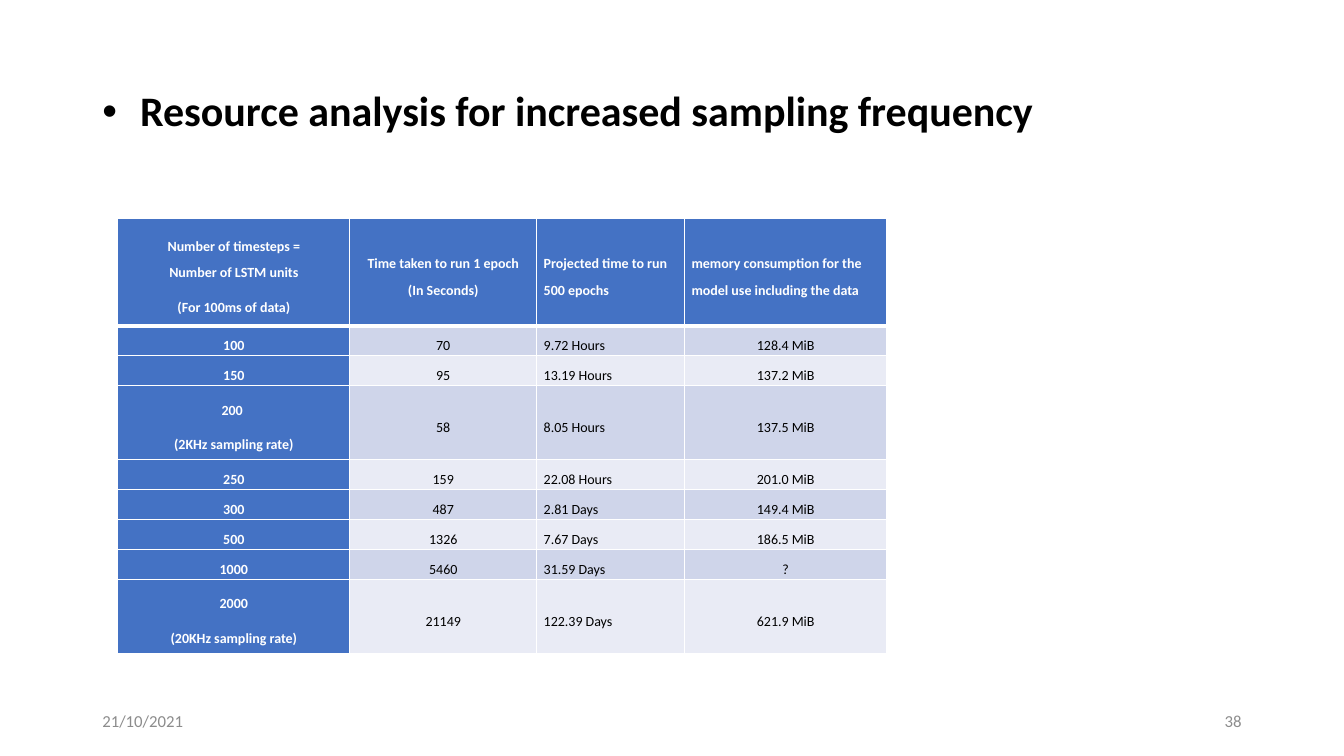
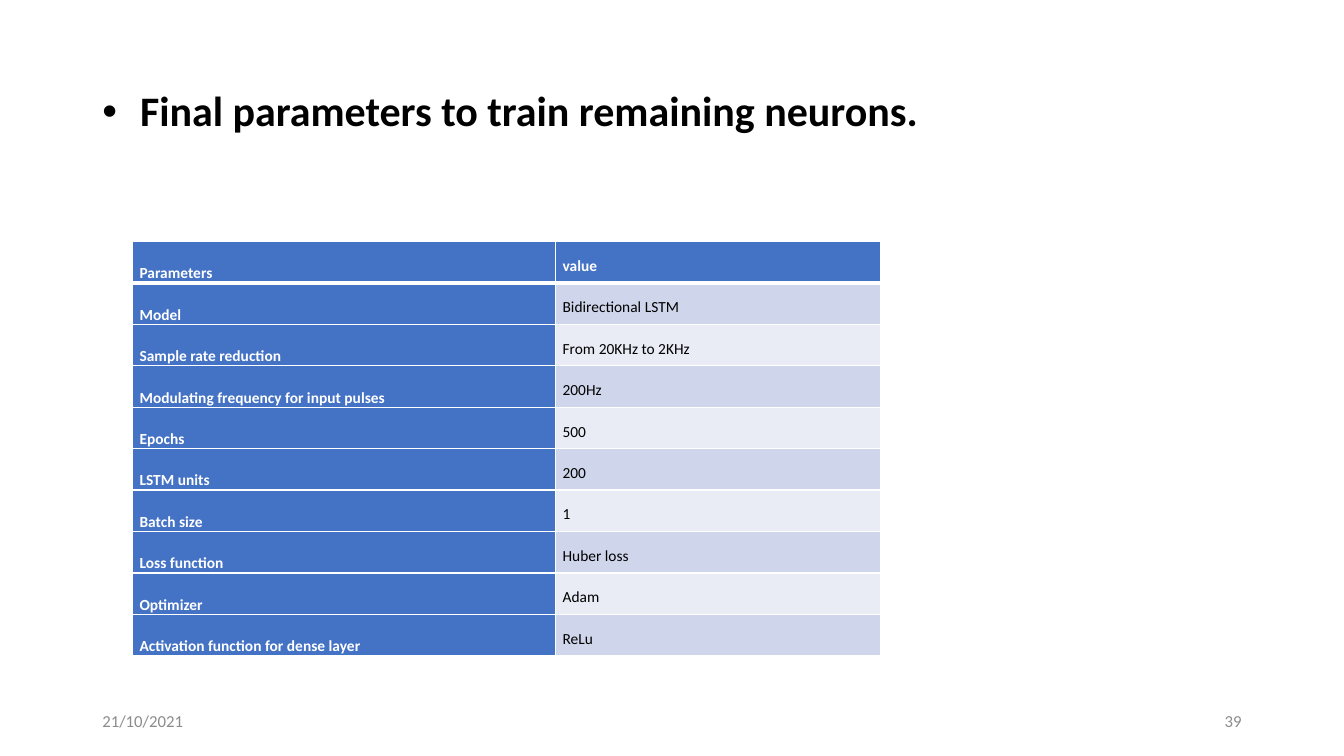
from lxml import etree
from pptx import Presentation
from pptx.dml.color import RGBColor
from pptx.enum.text import MSO_ANCHOR, PP_ALIGN
from pptx.oxml import ns
from pptx.util import Pt

FONT = "Calibri"
BLACK, WHITE, GREY = "000000", "FFFFFF", "8C8C8C"
BLUE, BANDS = "4472C4", ("CFD5EA", "E9EBF5")
LEFT, CENTER, RIGHT = PP_ALIGN.LEFT, PP_ALIGN.CENTER, PP_ALIGN.RIGHT
MIDDLE, BOTTOM = MSO_ANCHOR.MIDDLE, MSO_ANCHOR.BOTTOM

DATE = "21/10/2021"
FIRST_NUMBER = 38
# A line break is "\n"; a list in a cell holds several paragraphs.
SLIDES = [
    dict(
        title="Resource analysis for increased sampling frequency",
        left=84.2, top=156.2, size=10,
        widths=[165.6, 133.6, 105.6, 144.5],
        heights=[76.5, 21.4, 21.4, 53, 21.4, 21.4, 21.4, 21.4, 53],
        aligns=[CENTER, CENTER, LEFT, CENTER],
        header_aligns=[CENTER, CENTER, LEFT, LEFT],
        anchors=[MIDDLE] * 4,
        rows=[
            (["Number of timesteps =\nNumber of LSTM units", "(For 100ms of data)"],
             "Time taken to run 1 epoch\n(In Seconds)",
             "Projected time to run 500 epochs",
             "memory consumption for the model use including the data"),
            ("100", "70", "9.72 Hours", "128.4 MiB"),
            ("150", "95", "13.19 Hours", "137.2 MiB"),
            (["200 ", "(2KHz sampling rate)"], "58", "8.05 Hours", "137.5 MiB"),
            ("250", "159", "22.08 Hours", "201.0 MiB"),
            ("300", "487", "2.81 Days", "149.4 MiB"),
            ("500", "1326", "7.67 Days", "186.5 MiB"),
            ("1000", "5460", "31.59 Days", "?"),
            (["2000", "(20KHz sampling rate)"], "21149", "122.39 Days", "621.9 MiB"),
        ],
    ),
    dict(
        title="Final parameters to train remaining neurons.",
        left=94.7, top=172.5, size=11,
        widths=[302.2, 232],
        heights=[29.6] * 10,
        aligns=[LEFT, LEFT],
        header_aligns=[LEFT, LEFT],
        anchors=[BOTTOM, MIDDLE],
        rows=[
            ("Parameters", "value"),
            ("Model", "Bidirectional LSTM"),
            ("Sample rate reduction", "From 20KHz to 2KHz"),
            ("Modulating frequency for input pulses", "200Hz"),
            ("Epochs", "500"),
            ("LSTM units", "200"),
            ("Batch size", "1"),
            ("Loss function", "Huber loss"),
            ("Optimizer", "Adam"),
            ("Activation function for dense layer", "ReLu"),
        ],
    ),
]


def rgb(color):
    return RGBColor.from_string(color)


def write(tf, content, size, color=BLACK, bold=False, align=LEFT, spacing=None, after=0):
    """Fill a text frame with one paragraph, or with a list of them."""
    for i, line in enumerate([content] if isinstance(content, str) else content):
        p = tf.add_paragraph() if i else tf.paragraphs[0]
        p.text = line
        p.alignment = align
        p.line_spacing = spacing
        p.space_after = Pt(after)
        for r in p.runs:
            r.font.name, r.font.size, r.font.bold = FONT, Pt(size), bold
            r.font.color.rgb = rgb(color)


def add_text(s, content, box, **fmt):
    tf = s.shapes.add_textbox(*map(Pt, box)).text_frame
    tf.word_wrap = True
    tf.vertical_anchor = MIDDLE
    write(tf, content, **fmt)
    return tf


def add_bullet(p, indent):
    pPr = p._p.get_or_add_pPr()
    pPr.set("marL", str(Pt(indent)))
    pPr.set("indent", str(Pt(-indent)))
    etree.SubElement(pPr, ns.qn("a:buFont")).set("typeface", "Arial")
    etree.SubElement(pPr, ns.qn("a:buChar")).set("char", "•")


def set_borders(cell, top, bottom):
    """Draw white cell borders; top and bottom are widths in points."""
    tcPr = cell._tc.get_or_add_tcPr()
    for i, (side, width) in enumerate(zip("LRTB", (1, 1, top, bottom))):
        ln = etree.Element(ns.qn("a:ln" + side), w=str(Pt(width)))
        fill = etree.SubElement(ln, ns.qn("a:solidFill"))
        etree.SubElement(fill, ns.qn("a:srgbClr")).set("val", WHITE)
        tcPr.insert(i, ln)


def add_table(s, d):
    widths, heights = d["widths"], d["heights"]
    box = d["left"], d["top"], sum(widths), sum(heights)
    table = s.shapes.add_table(len(heights), len(widths), *map(Pt, box)).table
    table.horz_banding = False
    for column, width in zip(table.columns, widths):
        column.width = Pt(width)
    for i, (row, height) in enumerate(zip(d["rows"], heights)):
        table.rows[i].height = Pt(height)
        aligns = d["aligns"] if i else d["header_aligns"]
        for j, content in enumerate(row):
            cell = table.cell(i, j)
            heading = i == 0 or j == 0
            cell.margin_left = cell.margin_right = Pt(5)
            cell.margin_top = cell.margin_bottom = 0
            cell.vertical_anchor = d["anchors"][j]
            cell.fill.solid()
            cell.fill.fore_color.rgb = rgb(BLUE if heading else BANDS[(i - 1) % 2])
            set_borders(cell, top=3 if i == 1 else 1, bottom=1 if i else 3)
            write(cell.text_frame, content, size=d["size"], bold=heading,
                  color=WHITE if heading else BLACK, align=aligns[j],
                  spacing=Pt(19), after=5.5)


def main():
    prs = Presentation()
    prs.slide_width, prs.slide_height = Pt(960), Pt(540)
    for number, d in enumerate(SLIDES, FIRST_NUMBER):
        s = prs.slides.add_slide(prs.slide_layouts[6])
        title = add_text(s, d["title"], (66, 28.8, 828, 104.4),
                         size=30, bold=True, spacing=0.9)
        add_bullet(title.paragraphs[0], 27)
        add_table(s, d)
        add_text(s, str(number), (678, 500.5, 216, 28.75),
                 size=12, color=GREY, align=RIGHT)
        add_text(s, DATE, (66, 500.5, 216, 28.75), size=12, color=GREY)
    prs.save("out.pptx")


if __name__ == "__main__":
    main()
